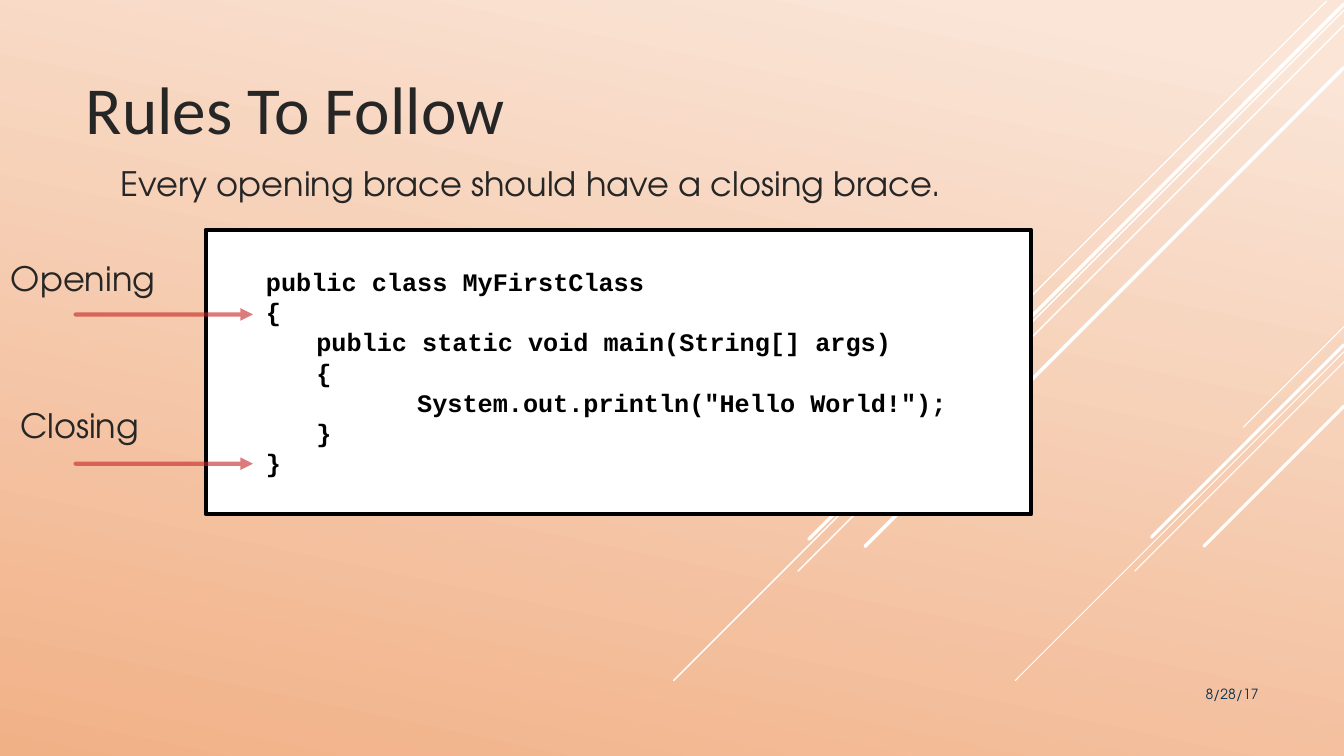
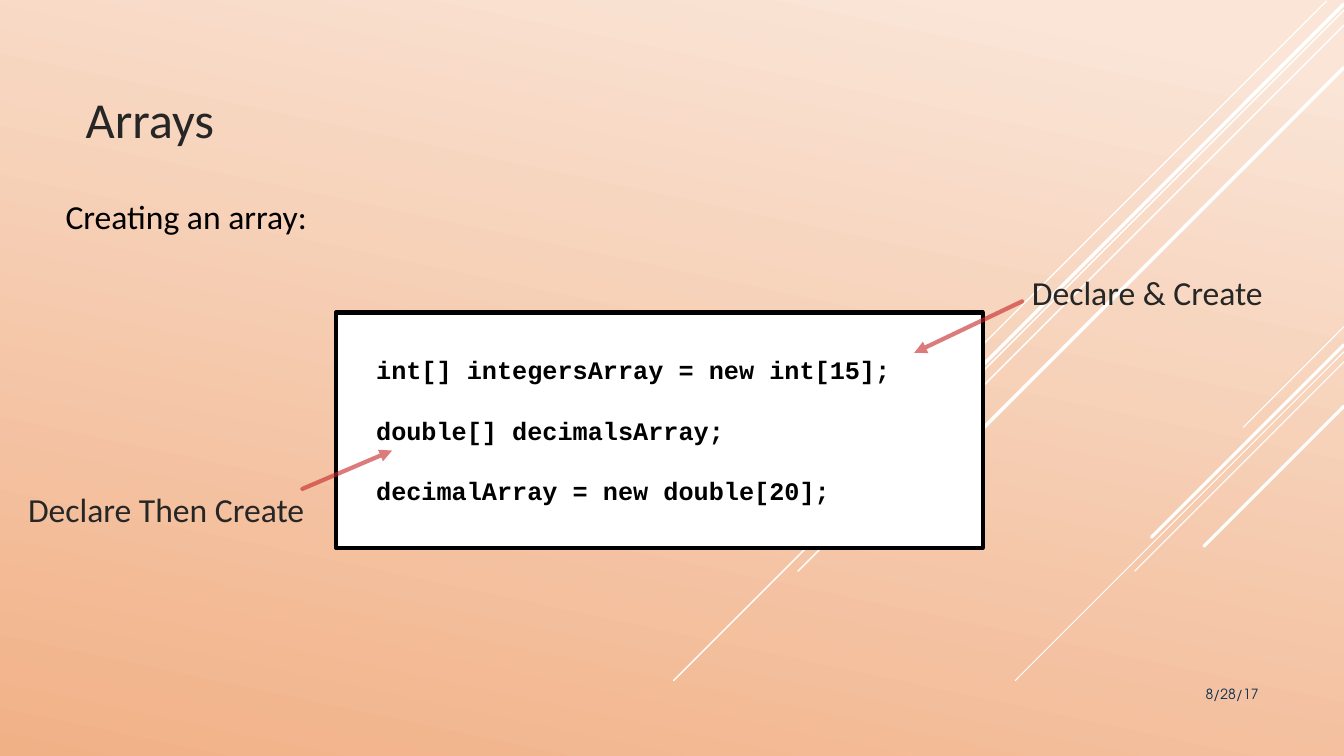
from lxml import etree
from pptx import Presentation
from pptx.dml import color
from pptx.enum import shapes, text
from pptx.oxml import ns
from pptx.util import Inches, Pt

COLS, ROWS = 80, 45
WIDTH, HEIGHT = Inches(40 / 3), Inches(7.5)
SANS, MONO, GEOMETRIC = "Calibri", "Courier New", "TeX Gyre Adventor"
INK, BLACK, WHITE, RED, NAVY = "262626", "000000", "FFFFFF", "C62324", "0A304A"
TITLE_BOX = (4.5, 2.94, 52.5, 6.18)
DATE_BOX = (65, 40.5, 10.5, 2.4)

DIAGONALS = [
    (80, 19.44, 6, 0.75),
    (80, 20.94, 19.56, 0.75),
    (80, 21.54, 12.45, 0.75),
    (80, 20.52, 11.46, 2.25),
    (80, 24.18, 8.34, 2.25),
    (78.96, 0.06, 25, 1),
    (80, 0.6, 39.9, 1),
    (80, 1.5, 32.5, 1),
    (80, 0.24, 31.85, 2.5),
    (80, 4.02, 28.5, 2.5),
]

CLASS_CODE = [
    (3, "public class MyFirstClass"),
    (3, "{"),
    (6, "public static void main(String[] args)"),
    (6, "{"),
    (12, 'System.out.println("Hello World!");'),
    (6, "}"),
    (3, "}"),
]
ARRAY_CODE = [
    (1.8, "int[] integersArray = new int[15];"),
    (1.8, "double[] decimalsArray;"),
    (1.8, "decimalArray = new double[20];"),
]


def rgb(value):
    return color.RGBColor.from_string(value)


def col(n):
    return round(WIDTH * n / COLS)


def row(n):
    return round(HEIGHT * n / ROWS)


def place(sp, box):
    left, top, width, height = box
    sp.left, sp.top, sp.width, sp.height = col(left), row(top), col(width), row(height)


def write(p, words, font=SANS, size=24, ink=INK, bold=False, align=text.PP_ALIGN.LEFT):
    p.alignment = align
    r = p.add_run()
    r.text = words
    r.font.name, r.font.size, r.font.bold = font, Pt(size), bold
    r.font.color.rgb = rgb(ink)


def fill_frame(sp, words, anchor=text.MSO_ANCHOR.TOP, **style):
    tf = sp.text_frame
    tf.word_wrap = True
    tf.auto_size = text.MSO_AUTO_SIZE.NONE
    tf.vertical_anchor = anchor
    write(tf.paragraphs[0], words, **style)


def add_label(s, words, box, **style):
    sp = s.shapes.add_textbox(0, 0, 0, 0)
    place(sp, box)
    fill_frame(sp, words, **style)


def add_title(s, words, size):
    sp = s.shapes.title
    place(sp, TITLE_BOX)
    fill_frame(sp, words, text.MSO_ANCHOR.BOTTOM, size=size)


def add_lead(s, words, box, **style):
    sp = s.placeholders[1]
    place(sp, box)
    p = sp.text_frame.paragraphs[0]
    pPr = p._p.get_or_add_pPr()
    pPr.set("marL", "0")
    pPr.set("indent", "0")
    etree.SubElement(pPr, ns.qn("a:buNone"))
    p.space_before = Pt(0)
    fill_frame(sp, words, **style)


def add_line(s, start, end, ink=WHITE, width=1):
    (x1, y1), (x2, y2) = start, end
    c = s.shapes.add_connector(
        shapes.MSO_CONNECTOR.STRAIGHT, col(x1), row(y1), col(x2), row(y2)
    )
    c.line.color.rgb = rgb(ink)
    c.line.width = Pt(width)
    spPr = c.element.spPr
    spPr.find(ns.qn("a:ln")).set("cap", "rnd")
    etree.SubElement(spPr, ns.qn("a:effectLst"))
    return c


def add_arrow(s, start, end):
    ln = add_line(s, start, end, RED, 3).element.spPr.find(ns.qn("a:ln"))
    etree.SubElement(ln.find(".//" + ns.qn("a:srgbClr")), ns.qn("a:alpha"), val="60000")
    etree.SubElement(ln, ns.qn("a:tailEnd"), type="triangle")


def add_code(s, lines, box, gap=0):
    sp = s.shapes.add_shape(shapes.MSO_SHAPE.RECTANGLE, 0, 0, 0, 0)
    place(sp, box)
    sp.shadow.inherit = False
    sp.fill.solid()
    sp.fill.fore_color.rgb = rgb(WHITE)
    sp.line.color.rgb = rgb(BLACK)
    sp.line.width = Pt(3)
    tf = sp.text_frame
    tf.word_wrap = True
    tf.vertical_anchor = text.MSO_ANCHOR.MIDDLE
    for i, (indent, words) in enumerate(lines):
        p = tf.add_paragraph() if i else tf.paragraphs[0]
        p._p.get_or_add_pPr().set("marL", str(col(indent)))
        p.line_spacing = Pt(21.6)
        p.space_before = Pt(gap if i else 0)
        write(p, words, font=MONO, size=18, ink=BLACK, bold=True)


def style_master(prs, s):
    master = prs.slide_master
    fill = master.background.fill
    fill.gradient()
    fill.gradient_angle = 258
    for stop, position, tint in zip(fill.gradient_stops, (0.07, 1), ("FAE5D7", "F1B187")):
        stop.position = position
        stop.color.rgb = rgb(tint)
    for x, y, run, width in DIAGONALS:
        c = add_line(s, (x, y), (x - run, y + run), width=width)
        master.shapes.element.append(c.element)


def add_slide(prs, title, size):
    s = prs.slides.add_slide(prs.slide_layouts[1])
    add_title(s, title, size)
    add_label(s, "8/28/17", DATE_BOX, font=GEOMETRIC, size=10, ink=NAVY,
              align=text.PP_ALIGN.RIGHT)
    return s


def add_rules(prs):
    s = add_slide(prs, "Rules To Follow", 48)
    add_lead(s, "Every opening brace should have a closing brace.",
             (6.6, 9.42, 58.5, 3.5), font=GEOMETRIC)
    add_code(s, CLASS_CODE, (12.24, 13.68, 49.14, 16.92))
    for words, left, top, arrow in (("Opening", 0.06, 15.06, 18.72),
                                    ("Closing", 0.6, 23.82, 27.6)):
        add_label(s, words, (left, top, 11.1, 3.12), font=GEOMETRIC)
        add_arrow(s, (4.5, arrow), (15.06, arrow))
    return s


def add_arrays(prs):
    s = add_slide(prs, "Arrays", 36)
    add_lead(s, "Creating an array:", (3.3, 11.34, 54.9, 3.42), ink=BLACK)
    add_code(s, ARRAY_CODE, (20, 18.6, 38.5, 14), gap=21.6)
    add_label(s, "Declare & Create", (60.84, 15.9, 15.96, 4.14))
    add_arrow(s, (60.84, 17.94), (54.42, 21))
    add_label(s, "Declare Then Create", (1.08, 28.8, 22.92, 4.14))
    add_arrow(s, (18, 29.1), (23.34, 26.82))


def main():
    prs = Presentation()
    prs.slide_width, prs.slide_height = WIDTH, HEIGHT
    style_master(prs, add_rules(prs))
    add_arrays(prs)
    prs.save("out.pptx")


if __name__ == "__main__":
    main()
